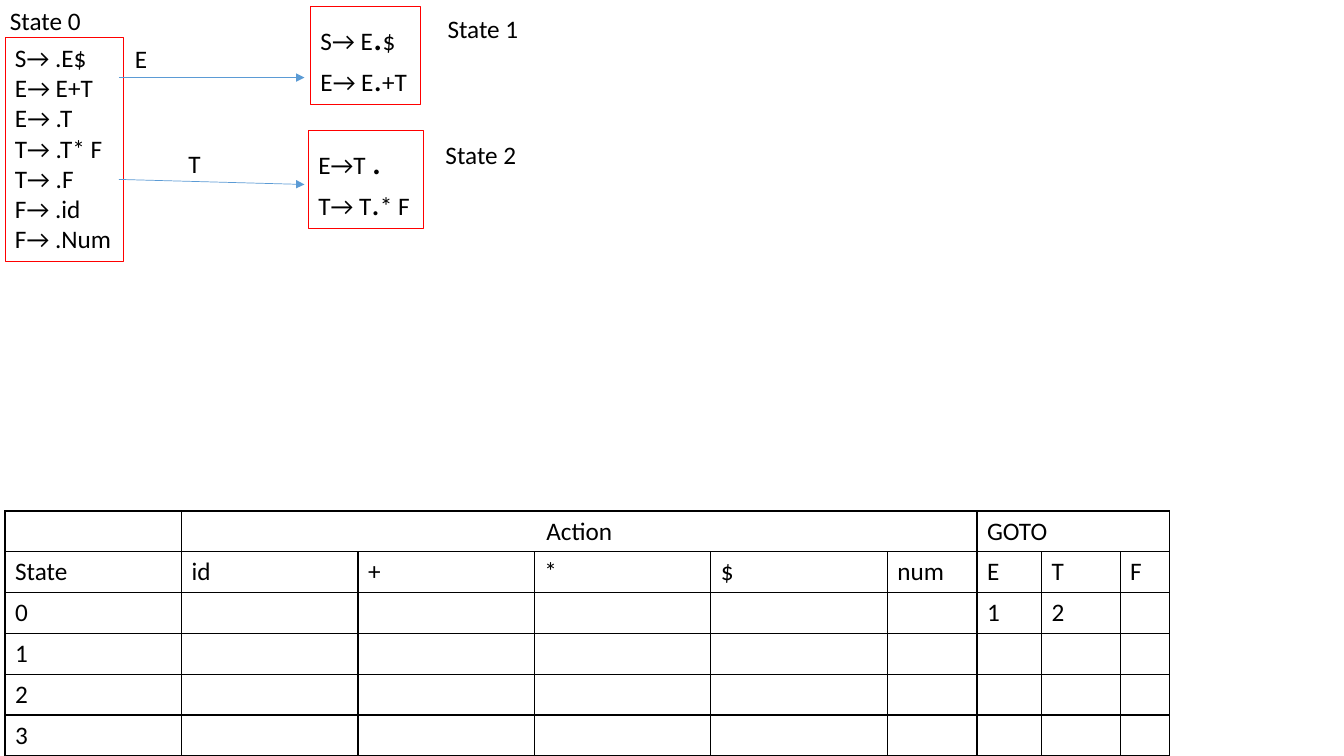
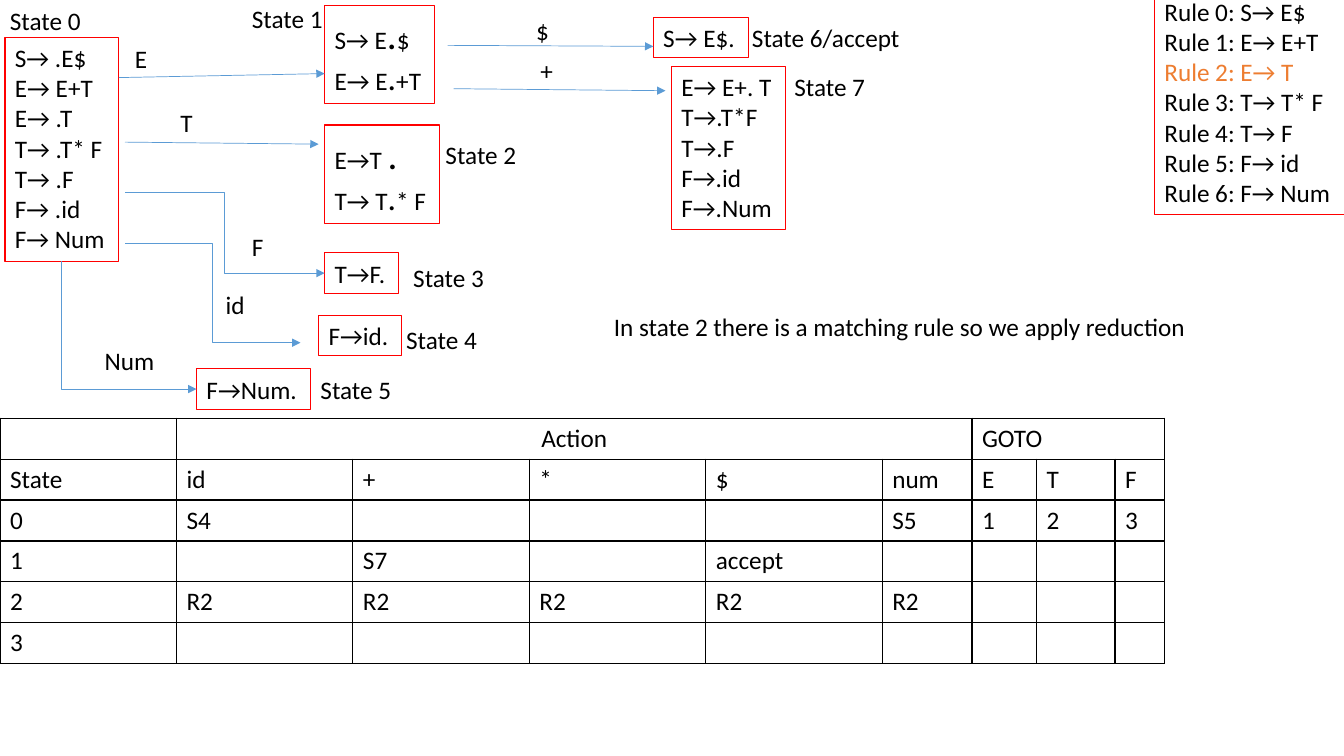
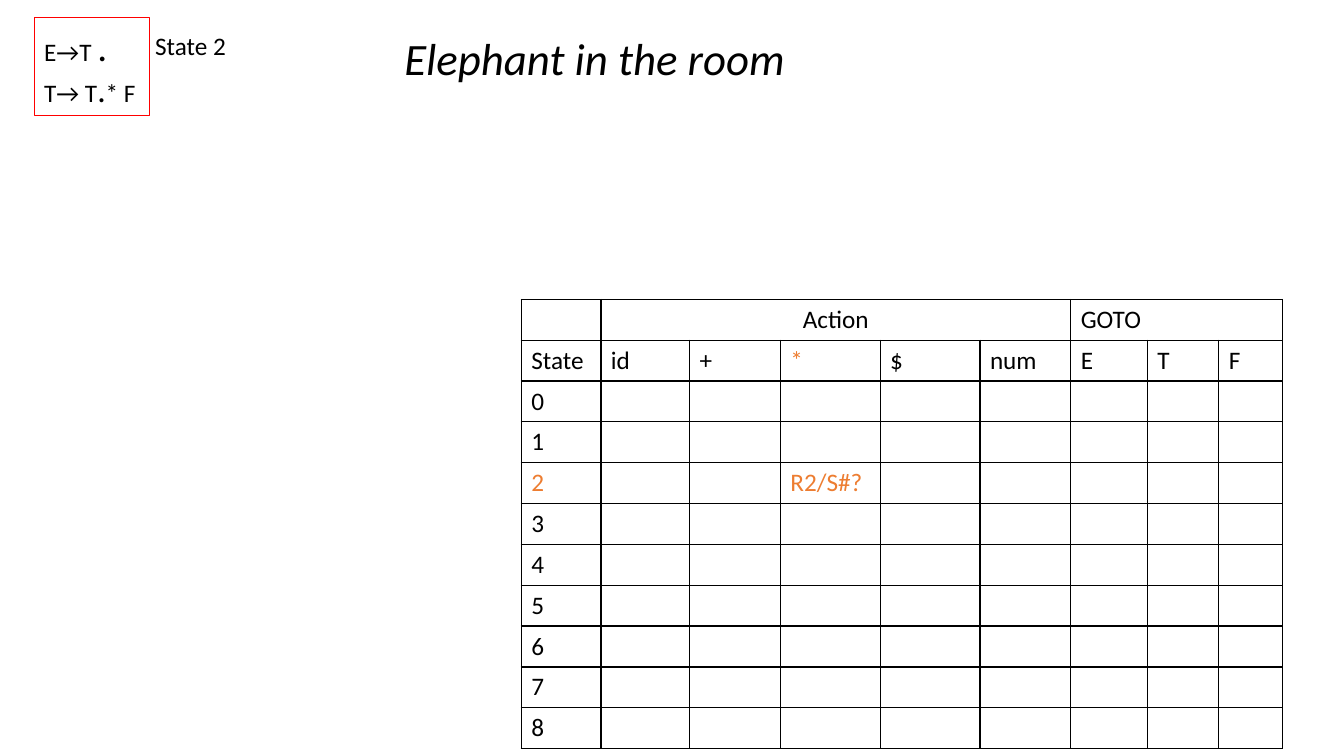
from lxml.etree import SubElement
from pptx import Presentation
from pptx.dml.color import RGBColor
from pptx.enum.shapes import MSO_CONNECTOR, MSO_SHAPE
from pptx.enum.text import MSO_ANCHOR, MSO_AUTO_SIZE, PP_ALIGN
from pptx.oxml.ns import qn
from pptx.util import Inches, Pt

# Shared style
FONT = "Calibri"
BLACK, WHITE, RED = "000000", "FFFFFF", "FF0000"
BLUE, ORANGE = "5B9BD5", "ED7D31"
TEXT_SIZE, TITLE_SIZE = 18, 32
BLANK_LAYOUT, TITLE_LAYOUT = 6, 5
LABEL_WIDTH, LINE_HEIGHT = 1.18, 0.4

# Parse table headings: five action columns, then three goto columns
SYMBOLS = ["State", "id", "+", "*", "$", "num", "E", "T", "F"]
ACTION_SPAN, GOTO_SPAN = (1, 5), (6, 8)
WIDE_COLUMNS = [1.75] * 5 + [0.89, 0.64, 0.78, 0.49]
NARROW_COLUMNS = [0.79, 0.88, 0.9, 0.99, 0.99, 0.9, 0.76, 0.71, 0.63]

# Item sets; a run is (text, size, colour), a plain string is one normal run
START_ITEMS = ["S→ .E$", "E→ E+T", "E→ .T", "T→ .T* F", "T→ .F", "F→ .id"]
STATE_1_ITEMS = [
    [("S→ E",), (".", 28), ("$",)],
    [("E→ E",), (".", 24), ("+T",)],
]
STATE_2_ITEMS = [
    [("E→T ",), (".", 28)],
    [("T→ T",), (".", 24), ("* F",)],
]


def color(value):
    return RGBColor.from_string(value)


def add_run(paragraph, text, size=TEXT_SIZE, tint=BLACK, italic=False):
    run = paragraph.add_run()
    run.text = text
    run.font.name = FONT
    run.font.size = Pt(size)
    run.font.italic = italic
    run.font.color.rgb = color(tint)


def fill_frame(frame, lines, wrap):
    frame.word_wrap = wrap
    frame.auto_size = MSO_AUTO_SIZE.SHAPE_TO_FIT_TEXT
    frame.vertical_anchor = MSO_ANCHOR.TOP
    for index, line in enumerate(lines):
        paragraph = frame.add_paragraph() if index else frame.paragraphs[0]
        paragraph.alignment = PP_ALIGN.LEFT
        for run in [(line,)] if isinstance(line, str) else line:
            add_run(paragraph, *run)


def add_item_box(slide, left, top, width, height, lines):
    shape = slide.shapes.add_shape(
        MSO_SHAPE.RECTANGLE, Inches(left), Inches(top), Inches(width), Inches(height))
    shape.shadow.inherit = False
    shape.fill.solid()
    shape.fill.fore_color.rgb = color(WHITE)
    shape.line.color.rgb = color(RED)
    shape.line.width = Pt(0.75)
    fill_frame(shape.text_frame, lines, wrap=False)


def add_label(slide, left, top, text, width=LABEL_WIDTH, wrap=True):
    box = slide.shapes.add_textbox(
        Inches(left), Inches(top), Inches(width), Inches(LINE_HEIGHT))
    fill_frame(box.text_frame, [text], wrap)


def add_symbol(slide, left, top, text, width=0.32):
    add_label(slide, left, top, text, width, wrap=False)


def add_arrow(slide, start, end, kind=MSO_CONNECTOR.STRAIGHT):
    connector = slide.shapes.add_connector(
        kind, *(Inches(value) for value in (*start, *end)))
    connector.line.color.rgb = color(BLUE)
    connector.line.width = Pt(0.5)
    SubElement(connector.line._get_or_add_ln(), qn("a:tailEnd"), type="triangle")
    SubElement(connector._element.spPr, qn("a:effectLst"))
    return connector


def add_corner_arrow(slide, start, end):
    """Go straight down, then right: a single bend, turned and mirrored."""
    (x1, y1), (x2, y2) = start, end
    middle_x, middle_y = (x1 + x2) / 2, (y1 + y2) / 2
    half_width, half_height = (y2 - y1) / 2, (x2 - x1) / 2
    connector = add_arrow(
        slide,
        (middle_x - half_width, middle_y - half_height),
        (middle_x + half_width, middle_y + half_height),
        MSO_CONNECTOR.ELBOW)
    properties = connector._element.spPr
    properties.find(qn("a:prstGeom")).set("prst", "bentConnector2")
    transform = properties.find(qn("a:xfrm"))
    transform.set("rot", str(270 * 60000))
    transform.set("flipH", "1")


def set_borders(cell):
    properties = cell._tc.get_or_add_tcPr()
    for side in ("a:lnL", "a:lnR", "a:lnT", "a:lnB"):
        line = SubElement(properties, qn(side), w=str(Pt(1)))
        solid = SubElement(line, qn("a:solidFill"))
        SubElement(solid, qn("a:srgbClr"), val=BLACK)


def add_parse_table(slide, left, top, height, columns, states, entries, marked=()):
    """entries maps (state, symbol) to text; marked lists orange (state, symbol) cells."""
    frame = slide.shapes.add_table(
        states + 2, len(columns), Inches(left), Inches(top),
        Inches(sum(columns)), Inches(height))
    table = frame.table
    table.first_row = table.horz_banding = False
    for column, width in zip(table.columns, columns):
        column.width = Inches(width)
    for cell in table.iter_cells():
        set_borders(cell)
        cell.fill.background()

    # Group headings
    for text, (first, last) in (("Action", ACTION_SPAN), ("GOTO", GOTO_SPAN)):
        heading = table.cell(0, first)
        heading.merge(table.cell(0, last))
        add_run(heading.text_frame.paragraphs[0], text)
    table.cell(0, 1).text_frame.paragraphs[0].alignment = PP_ALIGN.CENTER

    # Symbols in the second row, then one row for each state
    for row, state in enumerate(["head", *range(states)], start=1):
        for column, symbol in enumerate(SYMBOLS):
            if state == "head":
                text = symbol
            elif symbol == "State":
                text = str(state)
            else:
                text = entries.get((state, symbol))
            if text:
                tint = ORANGE if (state, symbol) in marked else BLACK
                paragraph = table.cell(row, column).text_frame.paragraphs[0]
                add_run(paragraph, text, tint=tint)


def add_slide(presentation, layout=BLANK_LAYOUT):
    return presentation.slides.add_slide(presentation.slide_layouts[layout])


def build_first_states(presentation):
    slide = add_slide(presentation)
    add_item_box(slide, 0.05, 0.37, 1.18, 2.22, START_ITEMS + ["F→ .Num"])
    add_item_box(slide, 3.08, 0.06, 1.09, 0.98, STATE_1_ITEMS)
    add_item_box(slide, 3.06, 1.29, 1.14, 0.98, STATE_2_ITEMS)
    add_arrow(slide, (1.18, 0.77), (3.02, 0.77))
    add_arrow(slide, (1.18, 1.78), (3.02, 1.83))
    for left, top, text in ((1.24, 0.38, "E"), (1.77, 1.42, "T")):
        add_symbol(slide, left, top, text)
    for left, top, text in ((0, 0, "State 0"), (4.34, 0.08, "State 1"),
                            (4.32, 1.33, "State 2")):
        add_label(slide, left, top, text)
    add_parse_table(slide, 0.05, 5.07, 2.43, WIDE_COLUMNS, 4,
                    {(0, "E"): "1", (0, "T"): "2"})


def build_all_states(presentation):
    slide = add_slide(presentation)

    # Parse table
    entries = {(0, "id"): "S4", (0, "num"): "S5", (0, "E"): "1", (0, "T"): "2",
               (0, "F"): "3", (1, "+"): "S7", (1, "$"): "accept"}
    entries.update({(2, symbol): "R2" for symbol in SYMBOLS[1:6]})
    add_parse_table(slide, 0, 4.15, 2.43, WIDE_COLUMNS, 4, entries)

    # States
    for box in (
        (0.05, 0.37, 1.13, 2.22, START_ITEMS + ["F→ Num"]),
        (3.22, 0.05, 1.09, 0.98, STATE_1_ITEMS),
        (3.22, 1.24, 1.14, 0.98, STATE_2_ITEMS),
        (3.22, 2.51, 0.73, LINE_HEIGHT, ["T→F."]),
        (3.16, 3.13, 0.82, LINE_HEIGHT, ["F→id."]),
        (1.95, 3.66, 1.13, LINE_HEIGHT, ["F→Num."]),
        (6.48, 0.17, 0.94, LINE_HEIGHT, ["S→ E$."]),
        (6.66, 0.66, 1.13, 1.62, ["E→ E+. T", "T→.T*F", "T→.F", "F→.id", "F→.Num"]),
    ):
        add_item_box(slide, *box)
    for left, top, text in (
        (0, 0, "State 0"), (2.4, -0.02, "State 1"), (4.32, 1.33, "State 2"),
        (4, 2.55, "State 3"), (3.93, 3.17, "State 4"), (3.08, 3.66, "State 5"),
        (7.78, 0.66, "State 7"),
    ):
        add_label(slide, left, top, text)
    add_label(slide, 7.36, 0.17, "State 6/accept", width=2.69)

    # Transitions
    for start, end in (
        ((1.18, 0.77), (3.22, 0.73)), ((1.24, 1.41), (3.16, 1.43)),
        ((4.44, 0.45), (6.48, 0.46)), ((4.5, 0.88), (6.6, 0.9)),
    ):
        add_arrow(slide, start, end)
    add_arrow(slide, (1.24, 1.91), (3.22, 2.71), MSO_CONNECTOR.ELBOW)
    add_arrow(slide, (1.24, 2.41), (2.98, 3.4), MSO_CONNECTOR.ELBOW)
    add_corner_arrow(slide, (0.61, 2.59), (1.95, 3.86))
    for left, top, text in (
        (1.24, 0.38, "E"), (1.69, 1.02, "T"), (2.4, 2.25, "F"),
        (5.22, 0.1, "$"), (5.26, 0.5, "+"),
    ):
        add_symbol(slide, left, top, text)
    add_symbol(slide, 2.14, 2.82, "id", width=0.39)
    add_label(slide, 0.94, 3.38, "Num", width=0.75)

    # Grammar rules and remark
    productions = ["S→ E$", "E→ E+T", "E→ T", "T→ T* F", "T→ F", "F→ id", "F→ Num"]
    rules = [f"Rule {number}: {text}" for number, text in enumerate(productions)]
    rules[2] = [(rules[2], TEXT_SIZE, ORANGE)]
    add_item_box(slide, 11.45, -0.09, 1.89, 2.22, rules)
    add_label(slide, 5.99, 3.04,
              "In state 2 there is a matching rule so we apply reduction",
              width=5.94, wrap=False)


def build_conflict(presentation):
    slide = add_slide(presentation, TITLE_LAYOUT)
    title = slide.shapes.title
    title.left, title.top = Inches(3.91), Inches(0.25)
    title.width, title.height = Inches(4.06), Inches(0.64)
    fill_frame(title.text_frame, [[("Elephant in the room", TITLE_SIZE, BLACK, True)]],
               wrap=False)
    add_parse_table(slide, 5.17, 2.97, 4.46, NARROW_COLUMNS, 9,
                    {(2, "*"): "R2/S#?"},
                    marked={("head", "*"), (2, "State"), (2, "*")})
    add_item_box(slide, 0.34, 0.17, 1.14, 0.98, STATE_2_ITEMS)
    add_label(slide, 1.44, 0.25, "State 2")


def main():
    presentation = Presentation()
    presentation.slide_width = Inches(13.33)
    presentation.slide_height = Inches(7.5)
    build_first_states(presentation)
    build_all_states(presentation)
    build_conflict(presentation)
    presentation.save("out.pptx")


if __name__ == "__main__":
    main()
